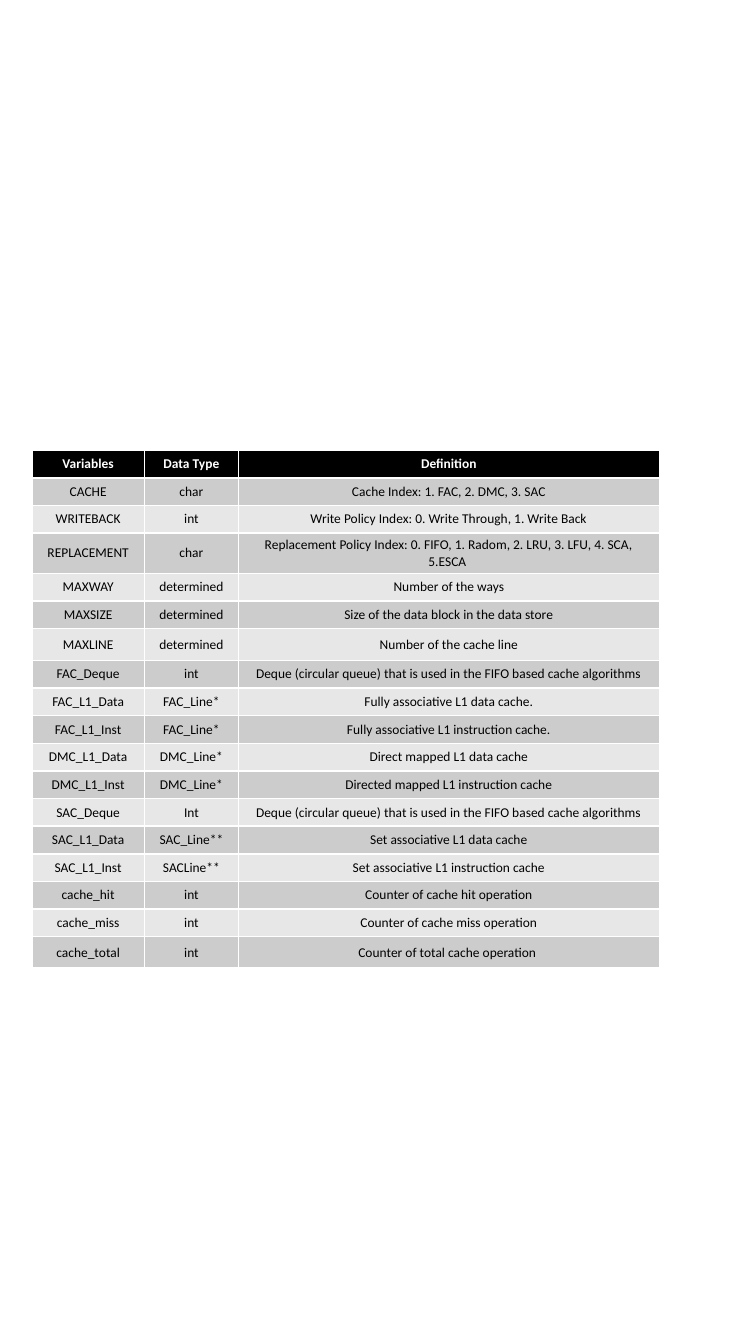
from pptx import Presentation
from pptx.dml.color import RGBColor
from pptx.enum.text import MSO_ANCHOR, PP_ALIGN
from pptx.util import Pt

CENTER = PP_ALIGN.CENTER
MIDDLE = MSO_ANCHOR.MIDDLE
BLANK = 6

COLORS = {"head": "000000", "odd": "CCCCCC", "even": "E7E7E7",
          "light": "FFFFFF", "dark": "000000"}

QUEUE = "Deque (circular queue) that is used in the FIFO based cache algorithms"
ROWS = [
    ("Variables", "Data Type", "Definition"),
    ("CACHE", "char", "Cache Index: 1. FAC, 2. DMC, 3. SAC"),
    ("WRITEBACK", "int", "Write Policy Index: 0. Write Through, 1. Write Back"),
    ("REPLACEMENT", "char", "Replacement Policy Index: 0. FIFO, 1. Radom, "
                            "2. LRU, 3. LFU, 4. SCA, 5.ESCA "),
    ("MAXWAY", "determined", "Number of the ways"),
    ("MAXSIZE", "determined", "Size of the data block in the data store"),
    ("MAXLINE", "determined", "Number of the cache line"),
    ("FAC_Deque", "int", QUEUE),
    ("FAC_L1_Data", "FAC_Line*", "Fully associative L1 data cache."),
    ("FAC_L1_Inst", "FAC_Line*", "Fully associative L1 instruction cache."),
    ("DMC_L1_Data", "DMC_Line*", "Direct mapped L1 data cache"),
    ("DMC_L1_Inst", "DMC_Line*", "Directed mapped L1 instruction cache"),
    ("SAC_Deque", "Int", QUEUE),
    ("SAC_L1_Data", "SAC_Line**", "Set associative L1 data cache"),
    ("SAC_L1_Inst", "SACLine**", "Set associative L1 instruction cache"),
    ("cache_hit", "int", "Counter of cache hit operation"),
    ("cache_miss", "int", "Counter of cache miss operation"),
    ("cache_total", "int", "Counter of total cache operation "),
]
WIDTHS = [67, 56, 250.5]
HEIGHT = 16.45
TALL = {"MAXLINE": 19, "cache_total": 18.7}

CELL = {"vertical_anchor": MIDDLE, "margin_left": Pt(4.3), "margin_right": Pt(4.3),
        "margin_top": Pt(2.15), "margin_bottom": Pt(2.15)}
FONT = {"name": "Calibri", "size": Pt(8)}

# Slide
deck = Presentation()
deck.slide_width, deck.slide_height = Pt(450), Pt(800)
slide = deck.slides.add_slide(deck.slide_layouts[BLANK])

# Table of variables; its style draws the white rules
heights = [TALL.get(row[0], HEIGHT) for row in ROWS]
table = slide.shapes.add_table(len(ROWS), len(WIDTHS), Pt(19), Pt(268),
                               Pt(sum(WIDTHS)), Pt(sum(heights))).table
for col, width in zip(table.columns, WIDTHS):
    col.width = Pt(width)

# Cells
for r, (row, height) in enumerate(zip(ROWS, heights)):
    table.rows[r].height = Pt(height)
    head = r == 0
    shade = "head" if head else "odd" if r % 2 else "even"
    for c, text in enumerate(row):
        cell = table.cell(r, c)
        for key, value in CELL.items():
            setattr(cell, key, value)
        cell.fill.solid()
        cell.fill.fore_color.rgb = RGBColor.from_string(COLORS[shade])
        para = cell.text_frame.paragraphs[0]
        para.alignment = CENTER
        run = para.add_run()
        run.text = text
        for key, value in FONT.items():
            setattr(run.font, key, value)
        run.font.bold = head
        ink = COLORS["light" if head else "dark"]
        run.font.color.rgb = RGBColor.from_string(ink)

deck.save("out.pptx")
